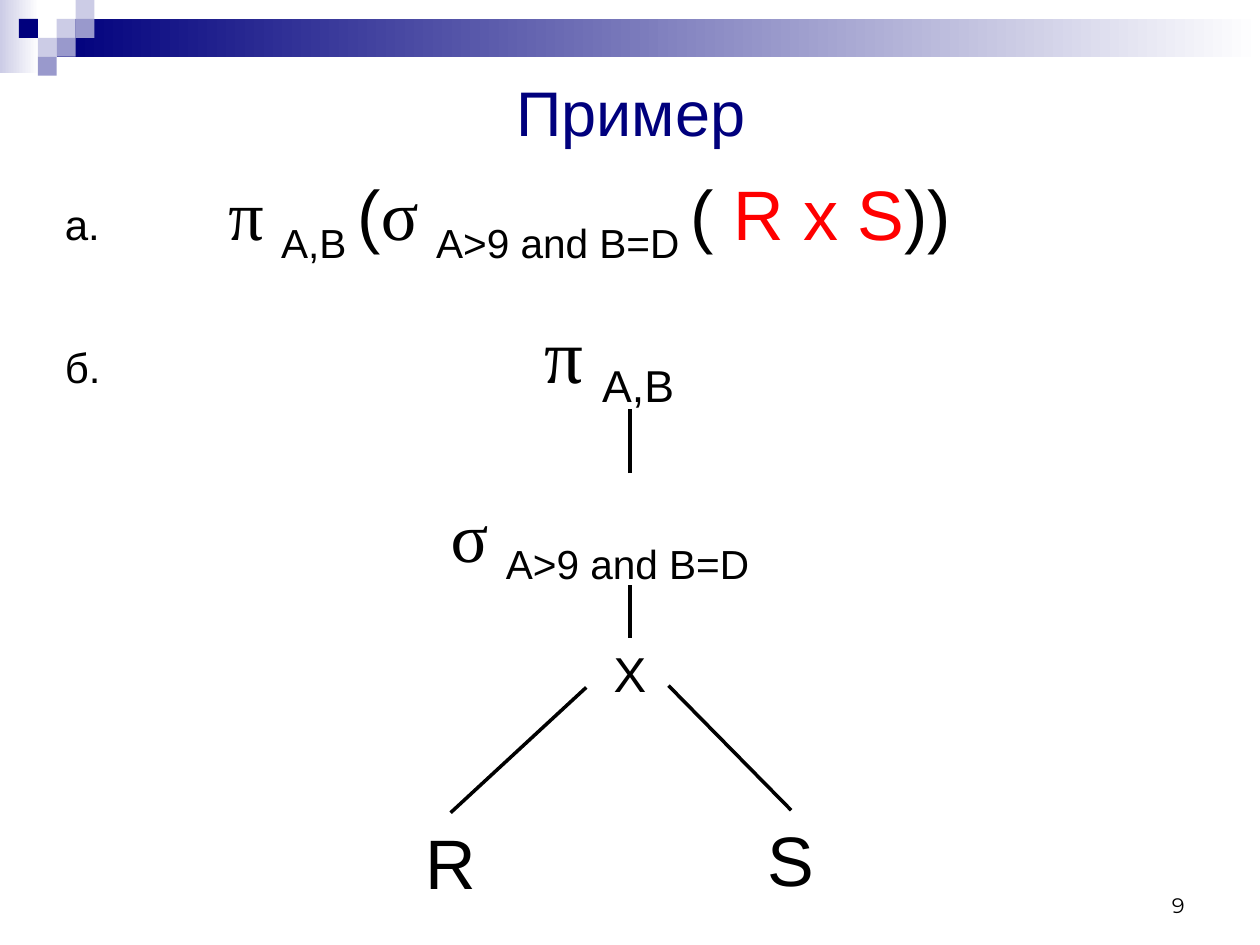
from lxml import etree
from pptx import Presentation
from pptx.dml.color import RGBColor
from pptx.enum.shapes import MSO_CONNECTOR, MSO_SHAPE
from pptx.enum.text import MSO_ANCHOR, PP_ALIGN
from pptx.oxml.ns import qn
from pptx.util import Pt

RECT = MSO_SHAPE.RECTANGLE
STRAIGHT = MSO_CONNECTOR.STRAIGHT
TOP, MIDDLE, BOTTOM = MSO_ANCHOR.TOP, MSO_ANCHOR.MIDDLE, MSO_ANCHOR.BOTTOM
LEFT, CENTER, RIGHT = PP_ALIGN.LEFT, PP_ALIGN.CENTER, PP_ALIGN.RIGHT

WHITE = RGBColor(0xFF, 0xFF, 0xFF)
BLACK = RGBColor(0, 0, 0)
RED = RGBColor(0xFF, 0, 0)
NAVY = RGBColor(0, 0, 0x7D)
LILAC = RGBColor(0xCC, 0xCC, 0xE6)
VIOLET = RGBColor(0x99, 0x99, 0xCC)

SANS, SERIF, NUMERIC = "Arial", "Times New Roman", "Montserrat"
TOP_SIDE = 0


def add_run(p, text, size, font=SANS, color=BLACK, sub=False):
    r = p.add_run()
    r.text = text
    for name, value in {"size": Pt(size), "name": font}.items():
        setattr(r.font, name, value)
    r.font.color.rgb = color
    if sub:
        r.font._element.set("baseline", "-25000")


def add_text(s, x, y, w, h, runs, align=LEFT, anchor=TOP, inset=3.6, spacing=1.0):
    sp = s.shapes.add_textbox(Pt(x), Pt(y), Pt(w), Pt(h))
    tf = sp.text_frame
    frame = {"word_wrap": True, "vertical_anchor": anchor, "margin_top": Pt(inset)}
    for name, value in frame.items():
        setattr(tf, name, value)
    p = tf.paragraphs[0]
    p.alignment = align
    p.line_spacing = spacing
    for run in runs:
        add_run(p, *run)
    return sp


def add_rect(s, x, y, w, h, color, fade=False):
    sp = s.shapes.add_shape(RECT, Pt(x), Pt(y), Pt(w), Pt(h))
    sp.shadow.inherit = False
    sp.line.fill.background()
    if fade:
        sp.fill.gradient()
        sp.fill.gradient_angle = 180
        for stop, stop_color in zip(sp.fill.gradient_stops, (WHITE, color)):
            stop.color.rgb = stop_color
    else:
        sp.fill.solid()
        sp.fill.fore_color.rgb = color


def add_banner(s, x, y, w, h):
    tile = h / 4
    add_rect(s, x, y, 22.3, 41.8, LILAC, fade=True)
    add_rect(s, x + 3 * tile, y + tile, w - 3 * tile, 2 * tile, NAVY, fade=True)
    tiles = [(3, 1, LILAC), (4, 0, LILAC), (4, 1, VIOLET), (2, 2, LILAC),
             (1, 1, NAVY), (3, 2, VIOLET), (2, 3, VIOLET)]
    for col, row, color in tiles:
        add_rect(s, x + col * tile, y + row * tile, tile, tile, color)


def add_formula(s, x, y, w, h):
    runs = [
        ("а.\t", 24),
        ("π ", 40, SERIF),
        ("A,B ", 40, SANS, BLACK, True),
        ("(", 40),
        ("σ ", 40, SERIF),
        ("A>9 and B=D ", 40, SANS, BLACK, True),
        ("( ", 40),
        ("R x S", 40, SANS, RED),
        ("))", 40),
    ]
    sp = add_text(s, x, y, w, h, runs, inset=7.5)
    pPr = sp.text_frame.paragraphs[0]._p.get_or_add_pPr()
    tabs = etree.SubElement(pPr, qn("a:tabLst"))
    etree.SubElement(tabs, qn("a:tab"), pos=str(Pt(93.4)), algn="l")
    p = sp.text_frame.add_paragraph()
    p.space_before = Pt(43)
    add_run(p, "б.", 24)


def add_branch(s, x1, y1, x2, y2, node):
    c = s.shapes.add_connector(STRAIGHT, Pt(x1), Pt(y1), Pt(x2), Pt(y2))
    c.begin_connect(node, TOP_SIDE)
    c.line.color.rgb = BLACK
    c.line.width = Pt(2)
    etree.SubElement(c._element.spPr, qn("a:effectLst"))


def add_tree(s, x, y, w, h):
    mid = x + 140
    add_text(s, mid - 56.2, y, 112.4, 126.7,
             [("π ", 44, SERIF), ("A,B", 44, SANS, BLACK, True)],
             inset=12.5, spacing=0.9)
    select = add_text(s, mid - 109.5, y + 107, 219, 115.9,
                      [("σ ", 40, SERIF), ("A>9 and B=D", 40, SANS, BLACK, True)],
                      inset=11.5, spacing=0.9)
    product = add_text(s, mid - 28.4, y + 201, 56.8, 37.4, [("Х", 28)],
                       CENTER, inset=7, spacing=0.9)
    left = add_text(s, x, y + h - 55.4, 75, 55.4, [("R", 40)], CENTER, BOTTOM)
    right = add_text(s, x + w - 75, y + h - 56.8, 75, 55.4, [("S", 40)], CENTER, BOTTOM)
    add_branch(s, mid, y + 107, mid, y + 70.3, select)
    add_branch(s, mid, y + 201, mid, y + 171, product)
    add_branch(s, x + 37.5, y + h - 55.4, mid - 25, y + 229.4, left)
    add_branch(s, x + w - 37.5, y + h - 56.8, mid + 22, y + 228.4, right)


def main():
    prs = Presentation()
    prs.slide_width, prs.slide_height = Pt(720), Pt(540)
    s = prs.slides.add_slide(prs.slide_layouts[6])
    add_banner(s, 0, 0, 720, 43.2)
    add_text(s, 36.5, 37.5, 648, 52.5, [("Пример", 36, SANS, NAVY)], CENTER, MIDDLE)
    add_formula(s, 30, 90, 660, 414)
    add_tree(s, 220, 163.4, 269.6, 356.4)
    add_text(s, 516, 492, 168, 36, [("9", 12, NUMERIC)], RIGHT, BOTTOM)
    prs.save("out.pptx")


if __name__ == "__main__":
    main()
